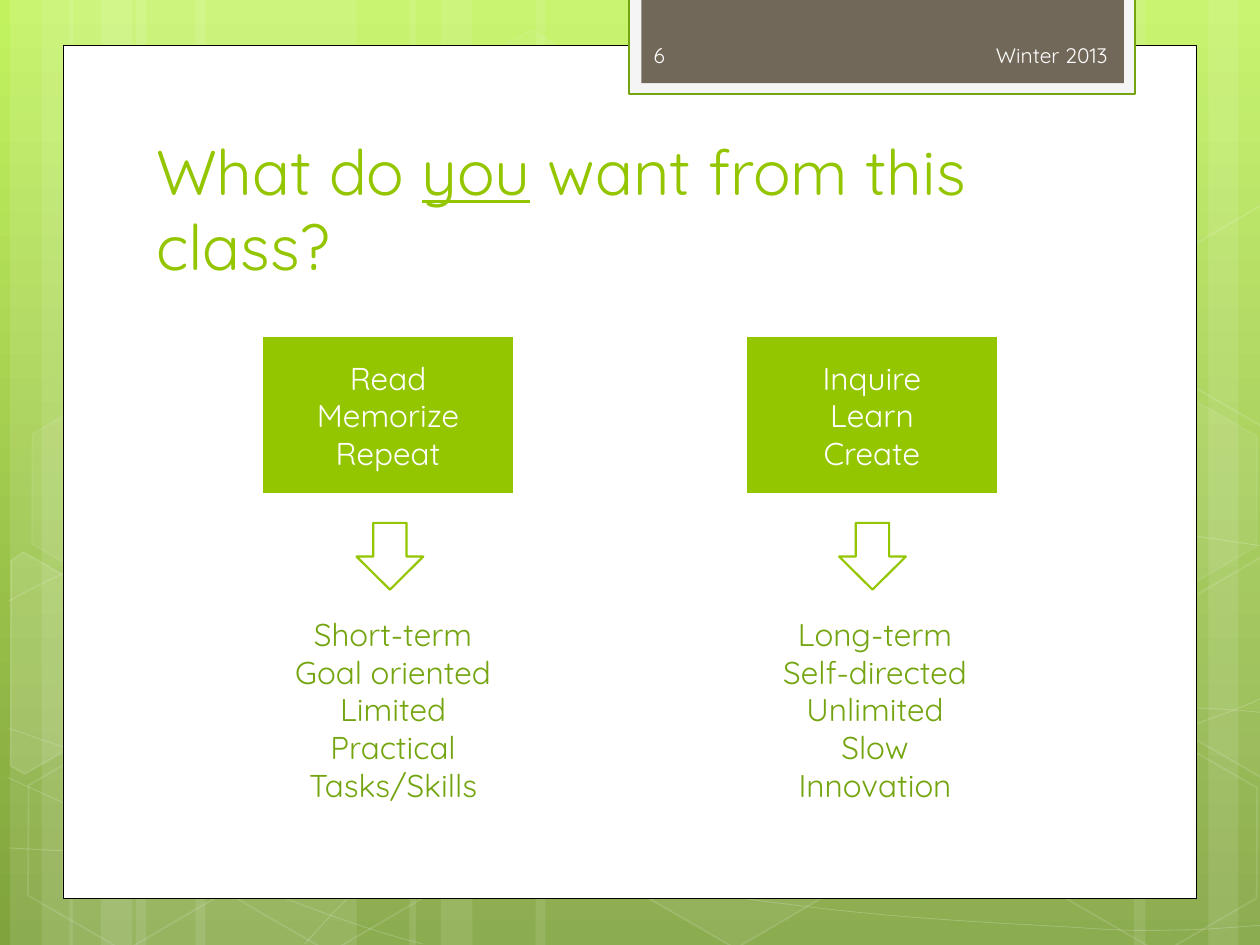
from lxml import etree
from pptx import Presentation
from pptx.dml.color import RGBColor
from pptx.enum.shapes import MSO_SHAPE
from pptx.enum.text import MSO_ANCHOR, MSO_AUTO_SIZE, PP_ALIGN
from pptx.oxml.ns import qn
from pptx.util import Pt

PX = 9144  # 100 px to the inch

RECT, HEX, ARROW = MSO_SHAPE.RECTANGLE, MSO_SHAPE.HEXAGON, MSO_SHAPE.DOWN_ARROW
TOP, MID = MSO_ANCHOR.TOP, MSO_ANCHOR.MIDDLE
LEFT, MID_COL, RIGHT = PP_ALIGN.LEFT, PP_ALIGN.CENTER, PP_ALIGN.RIGHT
GROW = MSO_AUTO_SIZE.SHAPE_TO_FIT_TEXT

WHITE = RGBColor(0xFF, 0xFF, 0xFF)
BLACK = RGBColor(0, 0, 0)
LIME = RGBColor(0x94, 0xC6, 0x00)
GREEN = RGBColor(0x74, 0xA5, 0x10)
SKY = RGBColor(0xC2, 0xF3, 0x5F)
GRASS = RGBColor(0x80, 0xA3, 0x3D)
PALE = RGBColor(0xF5, 0xF5, 0xF5)
BROWN = RGBColor(0x71, 0x68, 0x5A)
CREAM = RGBColor(0xFE, 0xFE, 0xFE)


def paint(shape, fill=None, line=None, width=1, fade=100, edge=100):
    """Set fill and line; fade and edge are their opacities in percent."""
    shape.shadow.inherit = False
    if fill is None:
        shape.fill.background()
    else:
        shape.fill.solid()
        shape.fill.fore_color.rgb = fill
    if line is None:
        shape.line.fill.background()
    else:
        shape.line.color.rgb = line
        shape.line.width = Pt(width)
    props = shape._element.spPr
    for where, share in (("./a:solidFill", fade), ("./a:ln/a:solidFill", edge)):
        if share < 100:
            for tint in props.xpath(where + "/a:srgbClr"):
                etree.SubElement(tint, qn("a:alpha")).set("val", str(share * 1000))


def write(shape, rows, size, color, align=LEFT, anchor=MID, wrap=True):
    """Fill a shape with rows, each a list of runs; a run in _ _ is underlined."""
    frame = shape.text_frame
    frame.word_wrap = wrap
    frame.vertical_anchor = anchor
    for i, row in enumerate(rows):
        para = frame.add_paragraph() if i else frame.paragraphs[0]
        para.alignment = align
        for text in row:
            run = para.add_run()
            run.text = text.strip("_")
            run.font.name = "Quicksand"
            run.font.size = Pt(size)
            run.font.color.rgb = color
            if text.startswith("_"):
                run.font.underline = True


prs = Presentation()
prs.slide_width, prs.slide_height = 1000 * PX, 750 * PX
slide = prs.slides.add_slide(prs.slide_layouts[6])
shapes = slide.shapes

back = slide.background.fill
back.gradient()
back.gradient_angle = 270
for stop, color in zip(back.gradient_stops, (SKY, GRASS)):
    stop.color.rgb = color

# Upright bands of light
bands = [(108, 175), (8, 50), (33, 83), (155, 175), (55, 50), (80, 83),
         (734, 175), (959, 50), (900, 83), (425, 309), (325, 50), (350, 83)]
for x, w in bands:
    band = shapes.add_shape(RECT, x * PX, 0, w * PX, 750 * PX)
    paint(band, WHITE, fade=10)

# Thin curves: a start, then two controls and an end for each piece
curves = [
    [(7, 673), (61, 676), (115, 679), (190, 678), (265, 677), (358, 675), (458, 665),
     (558, 655), (700, 636), (792, 617), (883, 598), (977, 568), (1007, 551)],
    [(7, 477), (36, 461), (65, 446), (121, 431), (178, 416), (259, 394), (347, 387),
     (436, 380), (544, 379), (654, 387), (764, 395), (947, 426), (1007, 434)],
    [(6, 617), (127, 672), (247, 727), (335, 749)],
    [(7, 578), (38, 589), (70, 600), (128, 616), (186, 631), (273, 656), (357, 673),
     (440, 690), (545, 708), (628, 718), (711, 729), (800, 733), (853, 736),
     (906, 740), (919, 738), (945, 738), (971, 737), (989, 735), (1007, 734)],
    [(242, 749), (260, 729), (278, 709), (302, 691), (326, 672), (360, 653), (388, 639),
     (416, 625), (433, 619), (469, 609), (506, 599), (573, 585), (608, 578),
     (644, 571), (649, 571), (680, 569), (711, 566), (760, 563), (794, 562),
     (829, 561), (886, 562), (886, 562), (886, 562), (953, 562), (953, 562),
     (971, 563), (988, 564), (997, 565), (1006, 566), (1003, 565), (1006, 566)],
]
for curve in curves:
    ends = curve[::3]
    pen = shapes.build_freeform(*ends[0], scale=PX)
    pen.add_line_segments(ends[1:], close=False)
    wave = pen.convert_to_shape()
    paint(wave, None, WHITE, 0.5, edge=20)
    left, top = min(x for x, y in ends), min(y for x, y in ends)
    # Bend each straight piece with its controls
    for i, piece in enumerate(wave._element.xpath(".//a:lnTo")):
        bend = etree.Element(qn("a:cubicBezTo"))
        for x, y in curve[3 * i + 1:3 * i + 4]:
            etree.SubElement(bend, qn("a:pt"), x=str(x - left), y=str(y - top))
        piece.getparent().replace(piece, bend)

# Whole hexagons: left, top, fill opacity, line opacity
for x, y, fade, edge in [
        (334, 36, 4, 8), (496, 589, 6, 12), (11, 591, 0, 12), (14, 312, 7, 8),
        (174, 592, 0, 12), (753, 453, 10, 12), (834, 593, 0, 12), (834, 314, 7, 8)]:
    cell = shapes.add_shape(HEX, x * PX, y * PX, 175 * PX, 152 * PX)
    cell.adjustments[0] = 0.285
    cell.rotation = 30
    paint(cell, WHITE if fade else None, WHITE, 1, fade, edge)

# Hexagons cut by the slide's sides, drawn before their turn
west = [(-33, 471), (-28, 460), (61, 460), (105, 536), (61, 612), (48, 612)]
east = [(917, 520), (960, 444), (969, 444), (1053, 588), (1048, 596), (960, 596)]
for fade, dots in [(10, west), (4, east), (0, [(x, y - 279) for x, y in east])]:
    pen = shapes.build_freeform(*dots[0], scale=PX)
    pen.add_line_segments(dots[1:], close=True)
    part = pen.convert_to_shape()
    part.rotation = 30
    paint(part, WHITE if fade else None, WHITE, 1, fade, 12)

# Page and tab
for x, y, w, h, fill, line, width in [
        (50, 36, 900, 677, WHITE, BLACK, 0.5),
        (499, -2, 402, 77, PALE, GREEN, 1.25),
        (509, -2, 383, 68, BROWN, None, 0)]:
    panel = shapes.add_shape(RECT, x * PX, y * PX, w * PX, h * PX)
    paint(panel, fill, line, width)

# Title, date and number
for x, y, w, h, runs, size, color, align in [
        (114, 92, 768, 146, ["What do ", "_you_", " want from this class?"], 36, LIME, LEFT),
        (656, 24, 233, 40, ["Winter 2013"], 12, CREAM, RIGHT),
        (509, 24, 146, 40, ["6"], 12, CREAM, LEFT)]:
    box = shapes.add_textbox(x * PX, y * PX, w * PX, h * PX)
    write(box, [runs], size, color, align)

# Two ways to learn: box, arrow, results
for x, verbs, dart, left, wide, gains in [
        (208, ["Read", "Memorize", "Repeat"], 283, 222, 180,
         ["Short-term", "Goal oriented", "Limited", "Practical", "Tasks/Skills"]),
        (592, ["Inquire", "Learn", "Create"], 666, 611, 167,
         ["Long-term", "Self-directed", "Unlimited", "Slow", "Innovation"])]:
    card = shapes.add_shape(RECT, x * PX, 267 * PX, 200 * PX, 125 * PX)
    paint(card, LIME, WHITE, 0.75)
    write(card, [[verb] for verb in verbs], 18, WHITE, MID_COL, wrap=False)

    box = shapes.add_textbox(left * PX, 483 * PX, wide * PX, 160 * PX)
    write(box, [[gain] for gain in gains], 18, GREEN, MID_COL, TOP, False)
    box.text_frame.auto_size = GROW

    arrow = shapes.add_shape(ARROW, dart * PX, 415 * PX, 53 * PX, 53 * PX)
    arrow.adjustments[1] = 0.495
    paint(arrow, WHITE, LIME, 1.25)

prs.save("out.pptx")
